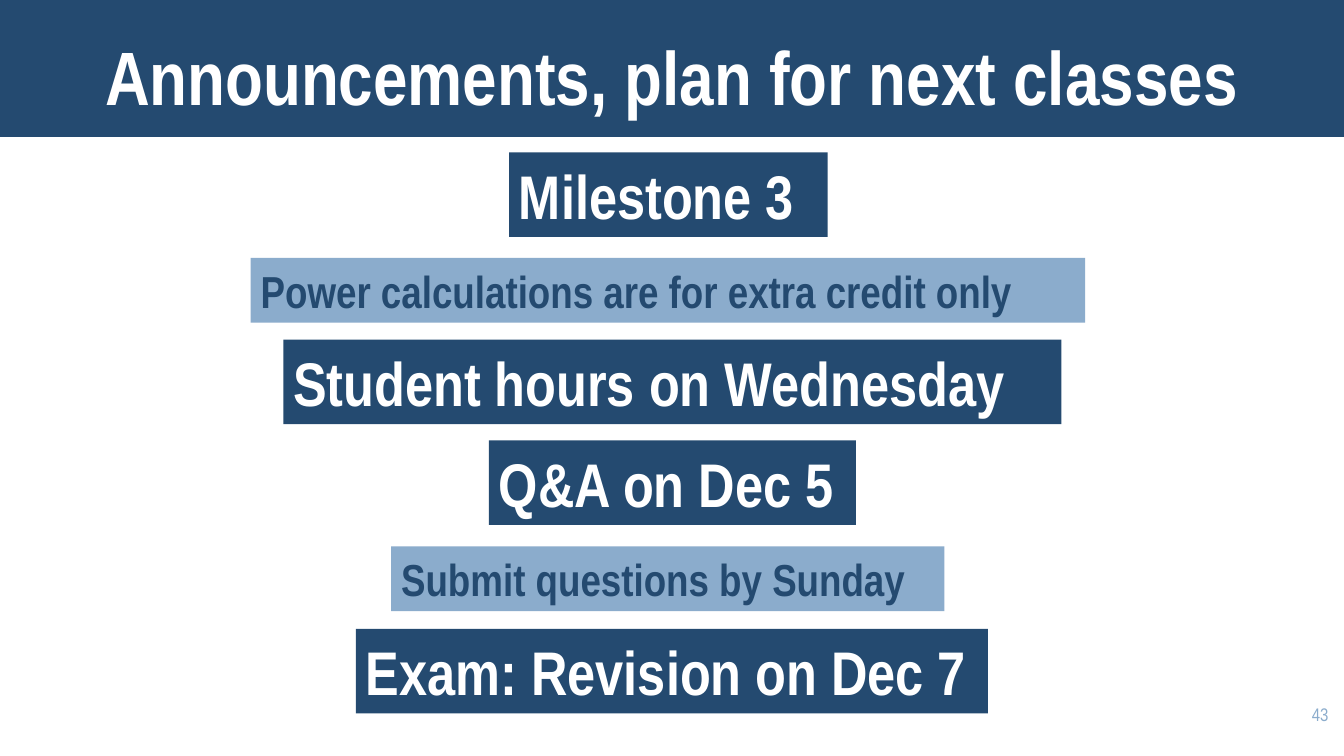
from pptx import Presentation
from pptx.dml.color import RGBColor
from pptx.enum.shapes import MSO_SHAPE
from pptx.enum.text import MSO_ANCHOR, PP_ALIGN
from pptx.util import Cm, Pt

RECTANGLE = MSO_SHAPE.RECTANGLE
TOP, MIDDLE, BOTTOM = MSO_ANCHOR.TOP, MSO_ANCHOR.MIDDLE, MSO_ANCHOR.BOTTOM
LEFT, CENTER, RIGHT = PP_ALIGN.LEFT, PP_ALIGN.CENTER, PP_ALIGN.RIGHT

COLORS = {"navy": "244A70", "sky": "8BACCC", "white": "FFFFFF"}
FONT = "Arial Narrow"
SLIDE_WIDTH, SLIDE_HEIGHT = Cm(33.87), Cm(19.05)

# Format of each announcement level
TOPIC = {"height": 2.13, "fill": "navy", "color": "white", "size": 44}
DETAIL = {"height": 1.63, "fill": "sky", "color": "navy", "size": 32}

# Wording, level, left, top and width in cm
ANNOUNCEMENTS = [
    ("Milestone 3", TOPIC, 12.83, 3.84, 8.03),
    ("Power calculations are for extra credit only", DETAIL, 6.32, 6.5, 21.03),
    ("Student hours on Wednesday", TOPIC, 7.14, 8.56, 19.61),
    ("Q&A on Dec 5", TOPIC, 12.32, 11.1, 9.25),
    ("Submit questions by Sunday", DETAIL, 9.86, 13.77, 13.94),
    ("Exam: Revision on Dec 7", TOPIC, 8.97, 15.85, 15.93),
]

prs = Presentation()
prs.slide_width, prs.slide_height = SLIDE_WIDTH, SLIDE_HEIGHT
slide = prs.slides.add_slide(prs.slide_layouts[6])


def add_bar(left, top, width, height, fill):
    bar = slide.shapes.add_shape(RECTANGLE, left, top, width, height)
    bar.shadow.inherit = False
    bar.fill.solid()
    bar.fill.fore_color.rgb = RGBColor.from_string(COLORS[fill])
    bar.line.fill.background()
    return bar


def write(shape, wording, size, color, bold, align, anchor):
    frame = shape.text_frame
    frame.word_wrap = True
    frame.vertical_anchor = anchor
    paragraph = frame.paragraphs[0]
    paragraph.text = wording
    paragraph.alignment = align
    font_format = {"name": FONT, "size": Pt(size), "bold": bold}
    for attribute, value in font_format.items():
        setattr(paragraph.font, attribute, value)
    paragraph.font.color.rgb = RGBColor.from_string(COLORS[color])


add_bar(0, 0, SLIDE_WIDTH, Cm(3.45), "navy")
title = slide.shapes.add_textbox(0, 0, SLIDE_WIDTH, Cm(3.17))
write(title, "Announcements, plan for next classes", 54, "white", True, CENTER, BOTTOM)

for wording, level, left, top, width in ANNOUNCEMENTS:
    announcement = add_bar(Cm(left), Cm(top), Cm(width), Cm(level["height"]), level["fill"])
    write(announcement, wording, level["size"], level["color"], True, LEFT, MIDDLE)

page_number = slide.shapes.add_textbox(Cm(31.7), Cm(17.6), Cm(2.03), Cm(1.45))
write(page_number, "43", 13, "sky", False, RIGHT, TOP)

prs.save("out.pptx")
